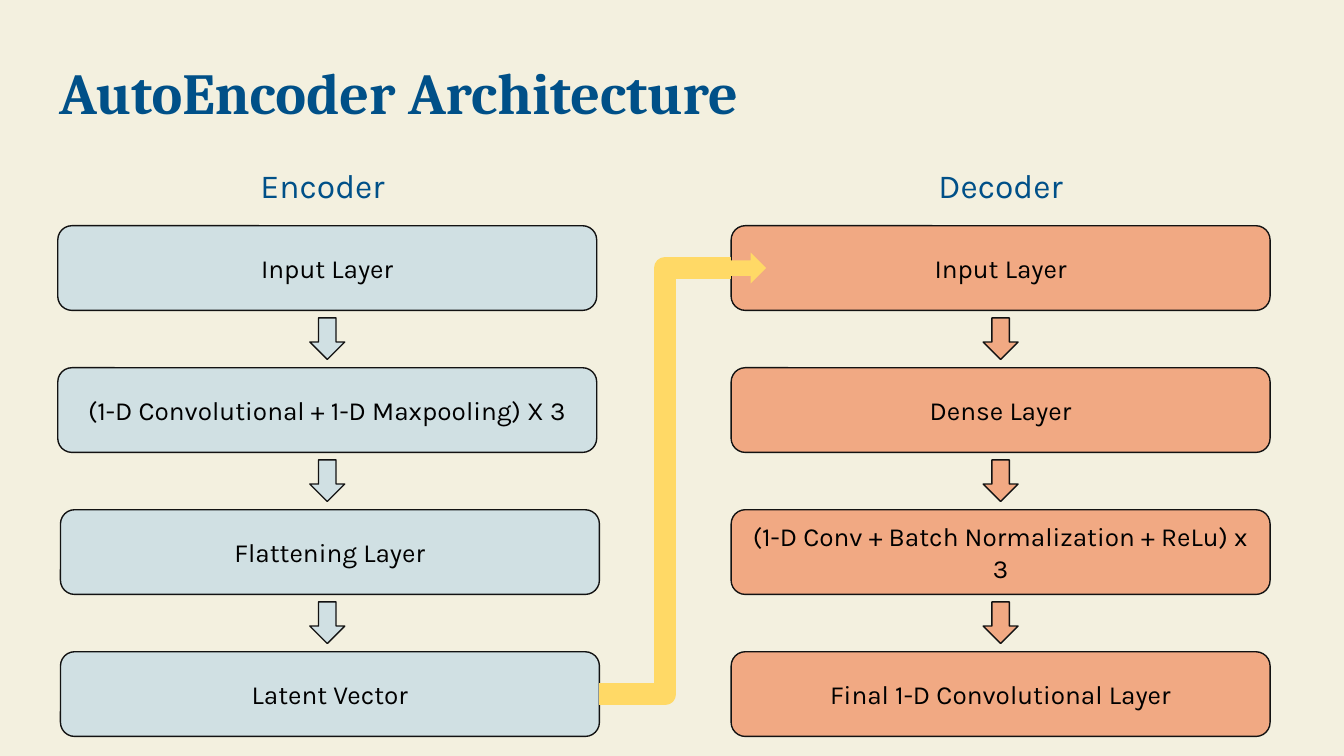
from lxml.etree import SubElement
from pptx import Presentation
from pptx.dml.color import RGBColor
from pptx.enum.shapes import MSO_CONNECTOR as CONN, MSO_SHAPE as SHAPE
from pptx.enum.text import MSO_ANCHOR as ANCHOR, PP_ALIGN as ALIGN
from pptx.oxml.ns import qn
from pptx.util import Inches, Pt

COLORS = {"bg": "F3F0DF", "blue": "005088", "ink": "000000", "outline": "121212",
          "encoder": "D0E0E3", "decoder": "F1A983", "link": "FFD966"}

TITLE = "AutoEncoder Architecture"
COLUMNS = [
    {"name": "Encoder", "color": "encoder", "heading": (0.34, 4.12), "arrow_x": 2.28,
     "layers": [(0.43, "Input Layer"),
                (0.43, "(1-D Convolutional + 1-D Maxpooling) X 3"),
                (0.45, "Flattening Layer"),
                (0.45, "Latent Vector")]},
    {"name": "Decoder", "color": "decoder", "heading": (5.44, 4.01), "arrow_x": 7.29,
     "layers": [(5.44, "Input Layer"),
                (5.44, "Dense Layer"),
                (5.44, "(1-D Conv + Batch Normalization + ReLu) x 3"),
                (5.44, "Final 1-D Convolutional Layer")]},
]
LAYER_W, LAYER_H = 4.01, 0.63
FIRST_TOP, LAST_TOP = 1.68, 4.85
ARROW_W, ARROW_H, ARROW_DROP = 0.31, 0.26, 0.71


def rgb(name):
    return RGBColor.from_string(COLORS[name])


def set_text(sp, text, size, color, font="Karla", align=ALIGN.CENTER,
             anchor=ANCHOR.TOP, bold=False):
    tf = sp.text_frame
    tf.text = text
    tf.word_wrap = True
    tf.vertical_anchor = anchor
    tf.margin_left = tf.margin_right = tf.margin_top = tf.margin_bottom = Inches(0.1)
    p = tf.paragraphs[0]
    p.alignment = align
    r = p.runs[0]
    r.font.name, r.font.size, r.font.bold = font, Pt(size), bold
    r.font.color.rgb = rgb(color)
    return p


def add_block(slide, kind, box, color, outlined=True):
    sp = slide.shapes.add_shape(kind, *map(Inches, box))
    sp.shadow.inherit = False
    sp.fill.solid()
    sp.fill.fore_color.rgb = rgb(color)
    if outlined:
        sp.line.color.rgb = rgb("outline")
        sp.line.width = Pt(0.75)
    else:
        sp.line.fill.background()
    return sp


def add_column(slide, column):
    """Draw a heading, its stack of layers and the arrows between them."""
    left, width = column["heading"]
    sp = slide.shapes.add_textbox(*map(Inches, (left, 1.08, width, 0.5)))
    p = set_text(sp, column["name"], 18, "blue")
    p.line_spacing, p.space_after = 1.15, Pt(12)

    layers = column["layers"]
    pitch = (LAST_TOP - FIRST_TOP) / (len(layers) - 1)
    blocks = []
    for i, (x, text) in enumerate(layers):
        top = FIRST_TOP + i * pitch
        sp = add_block(slide, SHAPE.ROUNDED_RECTANGLE,
                       (x, top, LAYER_W, LAYER_H), column["color"])
        set_text(sp, text, 14, "ink", anchor=ANCHOR.MIDDLE)
        blocks.append(sp)
        if i < len(layers) - 1:
            arrow = add_block(slide, SHAPE.RIGHT_ARROW,
                              (column["arrow_x"], top + ARROW_DROP, ARROW_W, ARROW_H),
                              column["color"])
            arrow.rotation = 90
    return blocks


def add_link(slide, source, target):
    """Join the latent vector to the decoder input with a thick elbow."""
    link = slide.shapes.add_connector(CONN.ELBOW, 0, 0, 0, 0)
    link.begin_connect(source, 3)
    link.end_connect(target, 1)
    link.line.color.rgb = rgb("link")
    link.line.width = Pt(12)
    SubElement(link.line._get_or_add_ln(), qn("a:round"))
    SubElement(link._element.spPr, qn("a:effectLst"))
    add_block(slide, SHAPE.RIGHT_ARROW, (5.29, 1.88, 0.41, 0.23), "link", outlined=False)


def main():
    prs = Presentation()
    prs.slide_width, prs.slide_height = Inches(10), Inches(5.625)
    slide = prs.slides.add_slide(prs.slide_layouts[5])
    slide.background.fill.solid()
    slide.background.fill.fore_color.rgb = rgb("bg")

    title = slide.shapes.title
    title.left, title.top, title.width, title.height = map(Inches, (0.34, 0.38, 9.32, 0.63))
    p = set_text(title, TITLE, 31.1, "blue", font="Cambria", align=ALIGN.LEFT, bold=True)
    p.line_spacing = 0.9

    encoder, decoder = [add_column(slide, column) for column in COLUMNS]
    add_link(slide, encoder[-1], decoder[0])
    prs.save("out.pptx")


if __name__ == "__main__":
    main()
